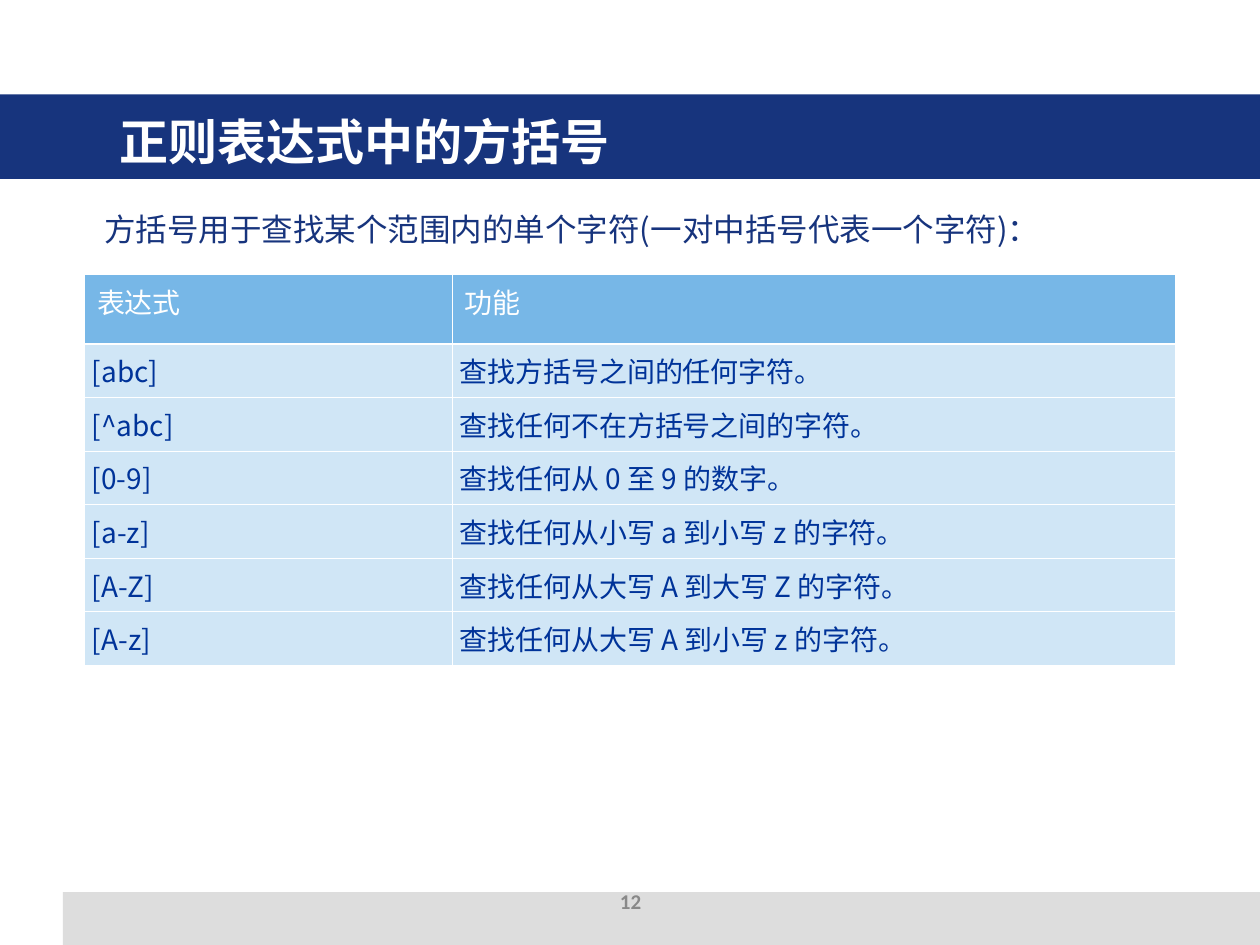
"""Build a slide that explains square brackets in regular expressions."""
from dataclasses import dataclass

from lxml.etree import SubElement
from pptx import Presentation
from pptx.dml.color import RGBColor
from pptx.enum.shapes import MSO_SHAPE
from pptx.enum.text import MSO_ANCHOR, MSO_AUTO_SIZE, PP_ALIGN
from pptx.oxml import parse_xml
from pptx.oxml.ns import nsdecls, qn
from pptx.util import Inches, Pt


@dataclass(frozen=True)
class Theme:
    navy: str = "17347D"
    sky: str = "77B7E7"
    ink: str = "003399"
    white: str = "FFFFFF"
    band_gray: str = "DDDDDD"
    number_gray: str = "898989"
    font: str = "Noto Sans CJK SC"
    number_font: str = "Calibri"
    title_size: int = 28
    lead_size: int = 18
    table_size: int = 16
    number_size: int = 12
    tint: int = 34
    thin: float = 0.45
    thick: float = 1.47


def write_text(frame, text, *, size, color, font, bold=False,
               align=PP_ALIGN.LEFT, anchor=MSO_ANCHOR.TOP):
    frame.word_wrap = True
    frame.vertical_anchor = anchor
    paragraph = frame.paragraphs[0]
    paragraph.alignment = align
    run = paragraph.add_run()
    run.text = text
    run.font.size = Pt(size)
    run.font.bold = bold
    run.font.color.rgb = RGBColor.from_string(color)
    run.font.name = font
    properties = run.font.fill._xPr
    SubElement(properties, qn("a:ea")).set("typeface", font)


class SlideBuilder:
    columns, rows = 100, 75

    def __init__(self, presentation, theme):
        self.theme = theme
        self.column = presentation.slide_width / self.columns
        self.row = presentation.slide_height / self.rows
        self.slide = presentation.slides.add_slide(presentation.slide_layouts[5])

    def place(self, left, top, width, height):
        return (round(left * self.column), round(top * self.row),
                round(width * self.column), round(height * self.row))

    def band(self, area, color):
        shape = self.slide.shapes.add_shape(MSO_SHAPE.RECTANGLE, *self.place(*area))
        shape.shadow.inherit = False
        shape.fill.solid()
        shape.fill.fore_color.rgb = RGBColor.from_string(color)
        shape.line.fill.background()

    def title(self, area, text):
        shape = self.slide.shapes.title
        shape.left, shape.top, shape.width, shape.height = self.place(*area)
        shape.element.getparent().append(shape.element)
        shape.text_frame.auto_size = MSO_AUTO_SIZE.NONE
        write_text(shape.text_frame, text, size=self.theme.title_size,
                   color=self.theme.white, font=self.theme.font, bold=True,
                   anchor=MSO_ANCHOR.MIDDLE)

    def text(self, area, text, **style):
        shape = self.slide.shapes.add_textbox(*self.place(*area))
        write_text(shape.text_frame, text, **style)

    def border(self, cell, is_header, is_first_body):
        properties = cell._tc.get_or_add_tcPr()
        for index, side in enumerate("LRTB"):
            heavy = (side == "B" and is_header) or (side == "T" and is_first_body)
            width = Pt(self.theme.thick if heavy else self.theme.thin)
            properties.insert(index, parse_xml(
                f'<a:ln{side} {nsdecls("a")} w="{width}"><a:solidFill>'
                f'<a:srgbClr val="{self.theme.white}"/></a:solidFill></a:ln{side}>'))

    def cell(self, cell, text, row_index):
        is_header = row_index == 0
        cell.fill.solid()
        cell.fill.fore_color.rgb = RGBColor.from_string(self.theme.sky)
        if not is_header:
            color = cell._tc.tcPr.find(".//" + qn("a:srgbClr"))
            SubElement(color, qn("a:alpha")).set("val", str(self.theme.tint * 1000))
            cell.margin_left, cell.margin_right = Inches(0.06), Inches(0.16)
            cell.vertical_anchor = MSO_ANCHOR.MIDDLE
        else:
            cell.vertical_anchor = MSO_ANCHOR.TOP
        write_text(cell.text_frame, text, size=self.theme.table_size,
                   color=self.theme.white if is_header else self.theme.ink,
                   font=self.theme.font, anchor=None)
        self.border(cell, is_header, row_index == 1)

    def table(self, left, top, widths, header_height, row_height, content):
        height = header_height + row_height * (len(content) - 1)
        area = self.place(left, top, sum(widths), height)
        table = self.slide.shapes.add_table(len(content), len(widths), *area).table
        table.first_row = table.horz_banding = False
        for column, width in zip(table.columns, widths):
            column.width = round(width * self.column)
        for index, values in enumerate(content):
            units = row_height if index else header_height
            table.rows[index].height = round(units * self.row)
            for column_index, value in enumerate(values):
                self.cell(table.cell(index, column_index), value, index)


EXPRESSIONS = [
    ("表达式", "功能"),
    ("[abc]", "查找方括号之间的任何字符。"),
    ("[^abc]", "查找任何不在方括号之间的字符。"),
    ("[0-9]", "查找任何从 0 至 9 的数字。"),
    ("[a-z]", "查找任何从小写 a 到小写 z 的字符。"),
    ("[A-Z]", "查找任何从大写 A 到大写 Z 的字符。"),
    ("[A-z]", "查找任何从大写 A 到小写 z 的字符。"),
]


def main():
    presentation = Presentation()
    presentation.slide_width, presentation.slide_height = Inches(10), Inches(7.5)
    theme = Theme()
    builder = SlideBuilder(presentation, theme)
    builder.band((5, 70.8, 95, 4.2), theme.band_gray)
    builder.band((0, 7.5, 100, 6.7), theme.navy)
    builder.title((8.5, 8.4, 63.5, 5.5), "正则表达式中的方括号")
    builder.text((7.3, 16.2, 86.9, 4.7),
                 "方括号用于查找某个范围内的单个字符(一对中括号代表一个字符)：",
                 size=theme.lead_size, color=theme.navy, font=theme.font)
    builder.text((34.2, 69.5, 31.7, 4), "12", size=theme.number_size,
                 color=theme.number_gray, font=theme.number_font, bold=True,
                 align=PP_ALIGN.CENTER, anchor=MSO_ANCHOR.MIDDLE)
    builder.table(6.7, 21.8, (29.2, 57.4), 5.5, 4.25, EXPRESSIONS)
    presentation.save("out.pptx")


if __name__ == "__main__":
    main()
